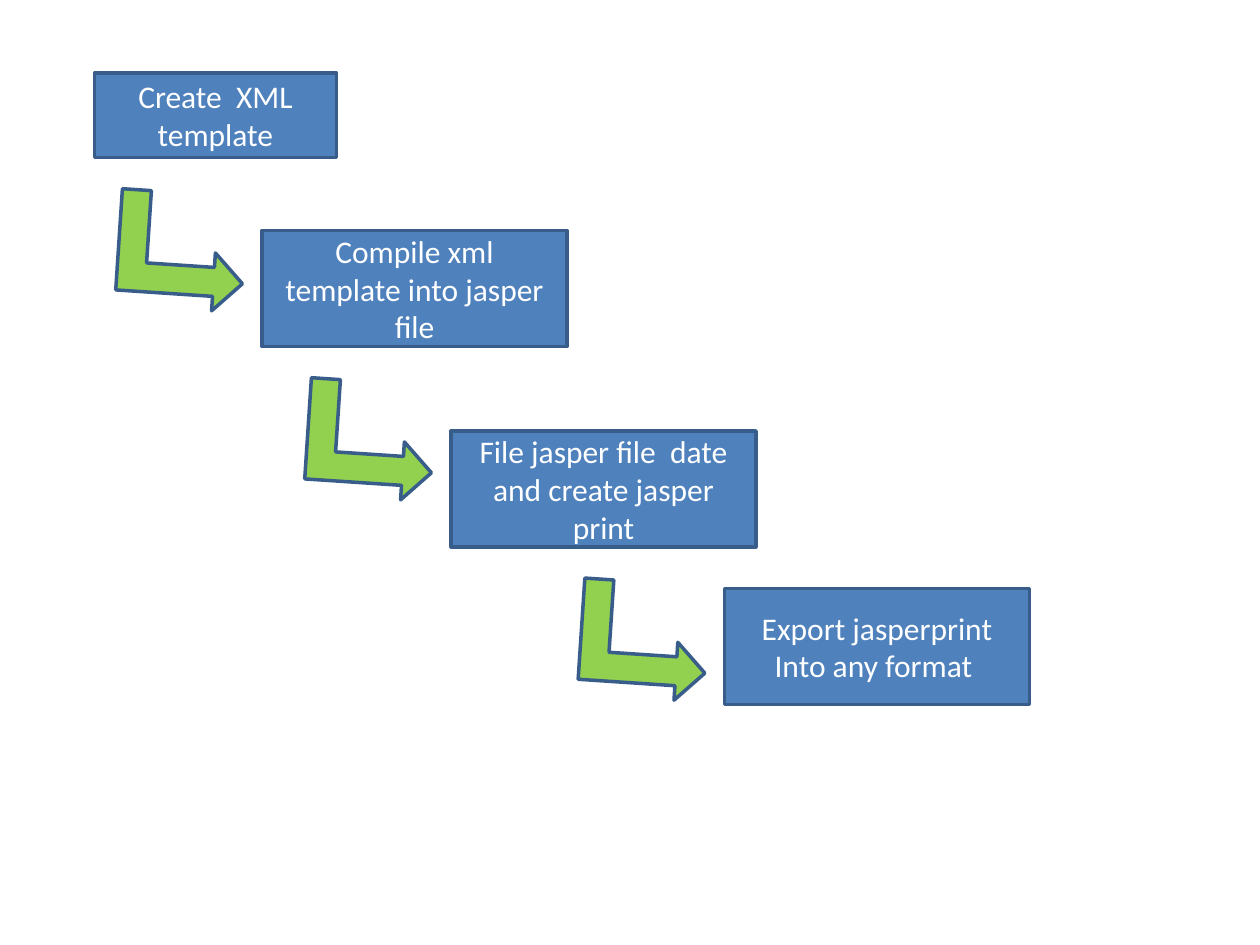
from dataclasses import dataclass
from itertools import pairwise

from pptx import Presentation
from pptx.dml.color import RGBColor as RGB
from pptx.enum.shapes import MSO_SHAPE as Shape
from pptx.enum.text import MSO_ANCHOR as Anchor, PP_ALIGN as Align
from pptx.util import Inches, Pt


@dataclass(frozen=True)
class Theme:
    font: str = "Calibri"
    size: int = 18
    text: RGB = RGB(0xFF, 0xFF, 0xFF)
    box: RGB = RGB(0x4F, 0x81, 0xBD)
    arrow: RGB = RGB(0x92, 0xD0, 0x50)
    edge: RGB = RGB(0x38, 0x5D, 0x8A)
    weight: int = 2


class Deck:
    def __init__(self, theme, slide):
        self.theme = theme
        self.slide = slide

    def paint(self, shape, fill):
        shape.shadow.inherit = False
        shape.fill.solid()
        shape.fill.fore_color.rgb = fill
        shape.line.color.rgb = self.theme.edge
        shape.line.width = Pt(self.theme.weight)

    def box(self, left, top, width, height, lines):
        shape = self.slide.shapes.add_shape(
            Shape.RECTANGLE, *map(Inches, (left, top, width, height)))
        self.paint(shape, self.theme.box)
        frame = shape.text_frame
        frame.word_wrap = True
        frame.vertical_anchor = Anchor.MIDDLE
        for i, line in enumerate(lines):
            para = frame.add_paragraph() if i else frame.paragraphs[0]
            para.alignment = Align.CENTER
            run = para.add_run()
            run.text = line
            run.font.name = self.theme.font
            run.font.size = Pt(self.theme.size)
            run.font.color.rgb = self.theme.text

    def arrow(self, left, top, width=0.92, height=1.0, turn=93.8):
        """Draw an elbow arrow pointing up, then turn it to point right."""
        unit = width / 4
        inner = width - 1.5 * unit
        outer = width - unit / 2
        points = [
            (0, height - unit), (inner, height - unit), (inner, unit),
            (width - 2 * unit, unit), (width - unit, 0), (width, unit),
            (outer, unit), (outer, height), (0, height),
        ]
        start, *rest = [(Inches(left + x), Inches(top + y)) for x, y in points]
        path = self.slide.shapes.build_freeform(*start)
        path.add_line_segments(rest, close=True)
        shape = path.convert_to_shape()
        shape.rotation = turn
        self.paint(shape, self.theme.arrow)


STEPS = [
    (0.75, 0.58, 1.92, 0.67, ["Create  XML template"]),
    (2.08, 1.83, 2.42, 0.92, ["Compile xml template into jasper file"]),
    (3.58, 3.42, 2.42, 0.92, ["File jasper file  date and create jasper print"]),
    (5.75, 4.67, 2.42, 0.92, ["Export jasperprint", "Into any format "]),
]
BACK, DROP = 1.1, 0.24  # arrow offset from the next box and the box above


def main():
    prs = Presentation()
    prs.slide_width, prs.slide_height = Inches(10), Inches(7.5)
    deck = Deck(Theme(), prs.slides.add_slide(prs.slide_layouts[6]))
    for step in STEPS:
        deck.box(*step)
    for (_, top, _, height, _), (left, *_) in pairwise(STEPS):
        deck.arrow(left - BACK, top + height + DROP)
    prs.save("out.pptx")


if __name__ == "__main__":
    main()
